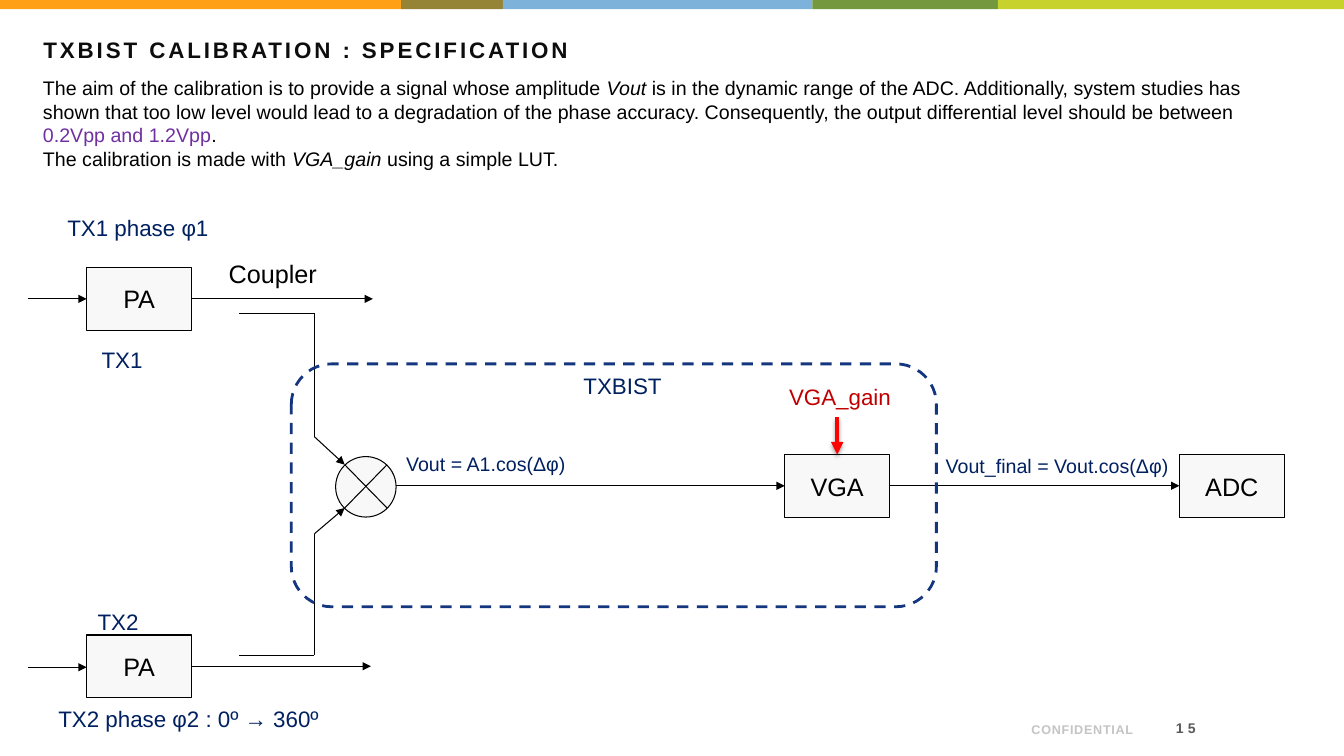
from dataclasses import dataclass

from pptx import Presentation
from pptx.dml.color import RGBColor
from pptx.enum.dml import MSO_LINE_DASH_STYLE as Dash
from pptx.enum.shapes import MSO_CONNECTOR as Connector, MSO_SHAPE as Preset
from pptx.enum.text import MSO_ANCHOR as Anchor, MSO_AUTO_SIZE as AutoSize, PP_ALIGN as Align
from pptx.oxml import parse_xml
from pptx.oxml.ns import nsdecls
from pptx.util import Pt


@dataclass(frozen=True)
class Theme:
    font: str = "Arial"
    black: str = "000000"
    heading: str = "0D0D0D"
    navy: str = "002060"
    frame: str = "14367F"
    purple: str = "7030A0"
    dark_red: str = "C00000"
    red: str = "FF0000"
    block: str = "F8F8F8"
    page_number: str = "595959"
    notice: str = "C4C4C4"
    large: int = 18
    medium: int = 16
    body: int = 14
    small: int = 10
    tiny: int = 9


THEME = Theme()
BLOCK_WIDTH, BLOCK_HEIGHT = 75, 45
LABEL_HEIGHT = 28
SIGNAL_Y = 347
COUPLER_X = 224.64
STRIPES = [
    ("FFA015", 286.56),
    ("958436", 72.72),
    ("7DB2DB", 221.04),
    ("73983E", 132.48),
    ("C7D22D", 247.2),
]
BLOCKS = [
    ("PA", 61.92, 190.8),
    ("PA", 61.92, 453.6),
    ("VGA", 560.5, 324.72),
    ("ADC", 842.4, 324.72),
]
ARROWS = [
    (19.8, 213.5, 61.92, 213.5),
    (136.8, 213.5, 266.4, 213.5),
    (19.8, 476.64, 61.92, 476.64),
    (136.8, 475.92, 264.96, 475.92),
    (COUPLER_X, 312, 246.24, 331.92),
    (COUPLER_X, 381.24, 246.24, 362.88),
    (282.96, SIGNAL_Y, 560.5, SIGNAL_Y),
    (633.6, SIGNAL_Y, 842.4, SIGNAL_Y),
]
WIRES = [
    (170.64, 223.92, COUPLER_X, 223.92),
    (170.64, 468, COUPLER_X, 468),
    (COUPLER_X, 223.92, COUPLER_X, 312),
    (COUPLER_X, 381.24, COUPLER_X, 468),
]
MIXER_CROSS = [
    (246.24, 331.92, 276.48, 362.88),
    (246.24, 362.88, 276.48, 331.92),
]
LABELS = [
    ("Coupler", 156.24, 181, 84, THEME.large, THEME.black),
    ("TX1 phase φ1", 41.04, 149.76, 130, THEME.medium, THEME.navy),
    ("TX2 phase φ2 : 0º → 360º", 34.56, 500.4, 215, THEME.medium, THEME.navy),
    ("Vout = A1.cos(Δφ)", 282.96, 318.96, 140, THEME.body, THEME.navy),
    ("TXBIST", 409.68, 262.08, 78, THEME.medium, THEME.navy),
    ("TX1", 65.52, 243.7, 70, THEME.medium, THEME.navy),
    ("TX2", 62.64, 430.56, 70, THEME.medium, THEME.navy),
    ("Vout_final = Vout.cos(Δφ)", 668.4, 320.6, 185, THEME.body, THEME.navy),
    ("VGA_gain", 556.56, 270, 96, THEME.medium, THEME.dark_red),
]
AIM = [
    [
        ("The aim of the calibration is to provide a signal whose amplitude ", THEME.black, False),
        ("Vout", THEME.black, True),
        (" is in the dynamic range of the ADC. Additionally, system studies has shown that too low "
         "level would lead to a degradation of the phase accuracy. Consequently, the output "
         "differential level should be between ", THEME.black, False),
        ("0.2Vpp and 1.2Vpp", THEME.purple, False),
        (".", THEME.black, False),
    ],
    [
        ("The calibration is made with ", THEME.black, False),
        ("VGA_gain ", THEME.black, True),
        ("using a simple LUT.", THEME.black, False),
    ],
]


def color(value):
    return RGBColor.from_string(value)


def place(box, left, top, width, height):
    box.left, box.top, box.width, box.height = Pt(left), Pt(top), Pt(width), Pt(height)


def add_span(para, text, size, tint, bold=False, italic=False, spacing=0):
    span = para.add_run()
    span.text = text
    span.font.name = THEME.font
    span.font.size = Pt(size)
    span.font.bold = bold
    span.font.italic = italic
    span.font.color.rgb = color(tint)
    if spacing:
        span._r.get_or_add_rPr().set("spc", str(round(spacing * 100)))


def add_shape(page, preset, left, top, width, height, fill=None, line=None, weight=0.75):
    shape = page.shapes.add_shape(preset, Pt(left), Pt(top), Pt(width), Pt(height))
    shape.shadow.inherit = False
    if fill:
        shape.fill.solid()
        shape.fill.fore_color.rgb = color(fill)
    else:
        shape.fill.background()
    if line:
        shape.line.color.rgb = color(line)
        shape.line.width = Pt(weight)
    else:
        shape.line.fill.background()
    return shape


def add_block(page, text, left, top):
    block = add_shape(page, Preset.RECTANGLE, left, top, BLOCK_WIDTH, BLOCK_HEIGHT,
                      THEME.block, THEME.black)
    block.text_frame.vertical_anchor = Anchor.MIDDLE
    para = block.text_frame.paragraphs[0]
    para.alignment = Align.CENTER
    add_span(para, text, THEME.large, THEME.black)


def add_wire(page, ends, arrow=False, tint=THEME.black, weight=0.75, shadow=""):
    wire = page.shapes.add_connector(Connector.STRAIGHT, *(Pt(end) for end in ends))
    wire.line.color.rgb = color(tint)
    wire.line.width = Pt(weight)
    if arrow:
        wire.line._get_or_add_ln().append(parse_xml(f'<a:tailEnd {nsdecls("a")} type="triangle"/>'))
    effects = f'<a:effectLst {nsdecls("a")}>{shadow}</a:effectLst>'
    wire._element.spPr.append(parse_xml(effects))


def add_label(page, text, left, top, width, size, tint):
    box = page.shapes.add_textbox(Pt(left), Pt(top), Pt(width), Pt(LABEL_HEIGHT))
    box.text_frame.word_wrap = True
    add_span(box.text_frame.paragraphs[0], text, size, tint)


def add_footer(page, text, area, size, tint, spacing, anchor):
    box = page.shapes.add_textbox(*(Pt(length) for length in area))
    box.text_frame.word_wrap = True
    box.text_frame.vertical_anchor = anchor
    para = box.text_frame.paragraphs[0]
    para.alignment = Align.RIGHT
    add_span(para, text, size, tint, bold=True, spacing=spacing)
    return box.text_frame


def fill_title(title):
    place(title, 23.76, 22.32, 918, 51.84)
    frame = title.text_frame
    frame.auto_size = AutoSize.NONE
    frame.vertical_anchor = Anchor.TOP
    para = frame.paragraphs[0]
    para.alignment = Align.LEFT
    add_span(para, "TXBIST CALIBRATION : SPECIFICATION", THEME.medium, THEME.heading,
             bold=True, spacing=2.1)


def fill_body(body):
    place(body, 23.5, 50.8, 882.72, 74.88)
    frame = body.text_frame
    frame.auto_size = AutoSize.NONE
    for index, spans in enumerate(AIM):
        para = frame.add_paragraph() if index else frame.paragraphs[0]
        para.space_before = Pt(0)
        settings = para._p.get_or_add_pPr()
        settings.set("marL", "0")
        settings.set("indent", "0")
        settings.append(parse_xml(f'<a:buNone {nsdecls("a")}/>'))
        for text, tint, italic in spans:
            add_span(para, text, THEME.body, tint, italic=italic)


def add_stripes(page):
    left = 0
    for tint, width in STRIPES:
        add_shape(page, Preset.RECTANGLE, left, 0, width, 6.48, tint)
        left += width


def add_diagram(page):
    for ends in WIRES:
        add_wire(page, ends)
    for ends in ARROWS:
        add_wire(page, ends, arrow=True)
    add_shape(page, Preset.OVAL, 239.76, 326.16, 43.2, 43.2, THEME.block, THEME.black)
    for ends in MIXER_CROSS:
        add_wire(page, ends)
    for block in BLOCKS:
        add_block(page, *block)
    frame = add_shape(page, Preset.ROUNDED_RECTANGLE, 208.08, 259.92, 460.8, 173.52,
                      line=THEME.frame, weight=2)
    frame.line.dash_style = Dash.DASH
    for label in LABELS:
        add_label(page, *label)
    shadow = (f'<a:outerShdw blurRad="{Pt(3.1)}" dist="{Pt(1.8)}" dir="5400000" rotWithShape="0">'
              f'<a:srgbClr val="{THEME.black}"><a:alpha val="35000"/></a:srgbClr></a:outerShdw>')
    add_wire(page, (598, 298.08, 598, 324.72), True, THEME.red, 3, shadow)


def main():
    deck = Presentation()
    deck.slide_width, deck.slide_height = Pt(960), Pt(540)
    page = deck.slides.add_slide(deck.slide_layouts[1])
    add_stripes(page)
    fill_title(page.shapes.title)
    fill_body(page.placeholders[1])
    add_diagram(page)
    add_footer(page, "CONFIDENTIAL", (612.72, 505.44, 203.76, 24.48),
               THEME.tiny, THEME.notice, 0.5, Anchor.BOTTOM)
    number = add_footer(page, "15", (812.16, 509.04, 46.8, 21.6),
                        THEME.small, THEME.page_number, 3, Anchor.MIDDLE)
    number.margin_left = number.margin_right = Pt(5)
    number.margin_top = number.margin_bottom = Pt(3)
    deck.save("out.pptx")


if __name__ == "__main__":
    main()
